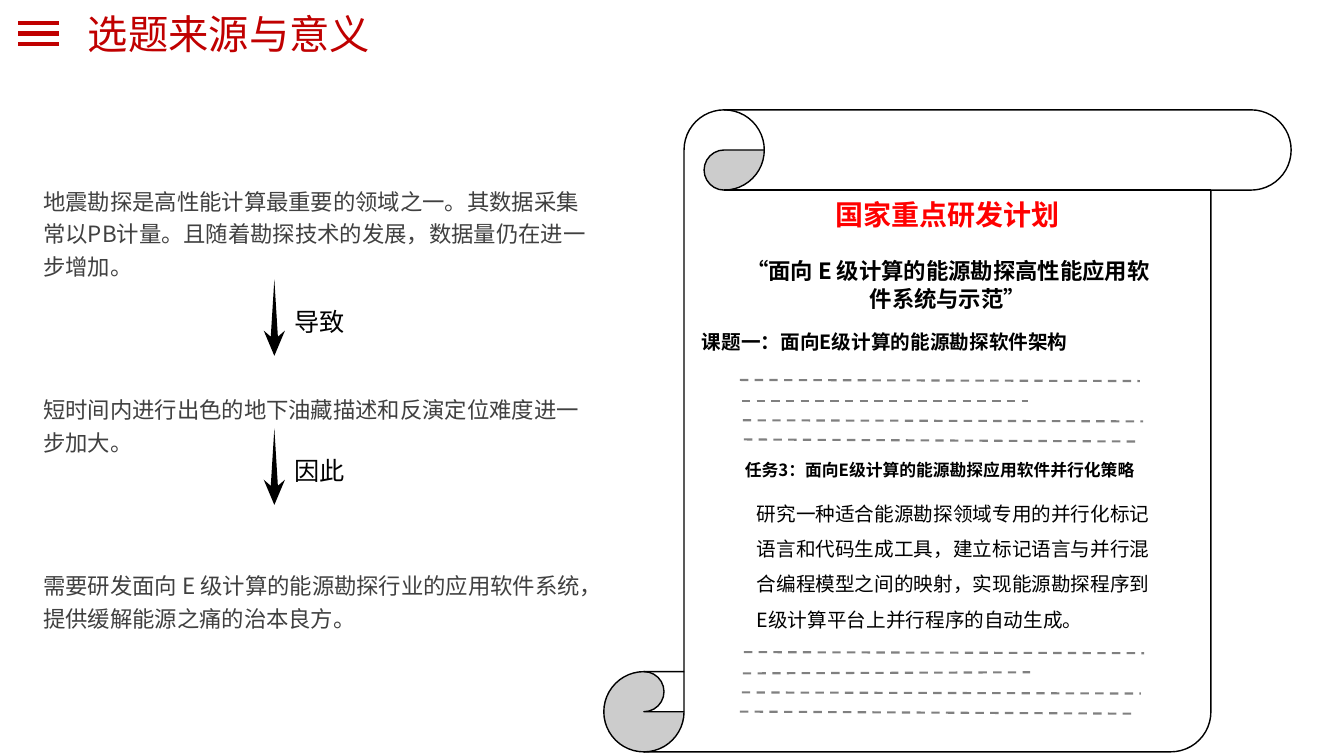
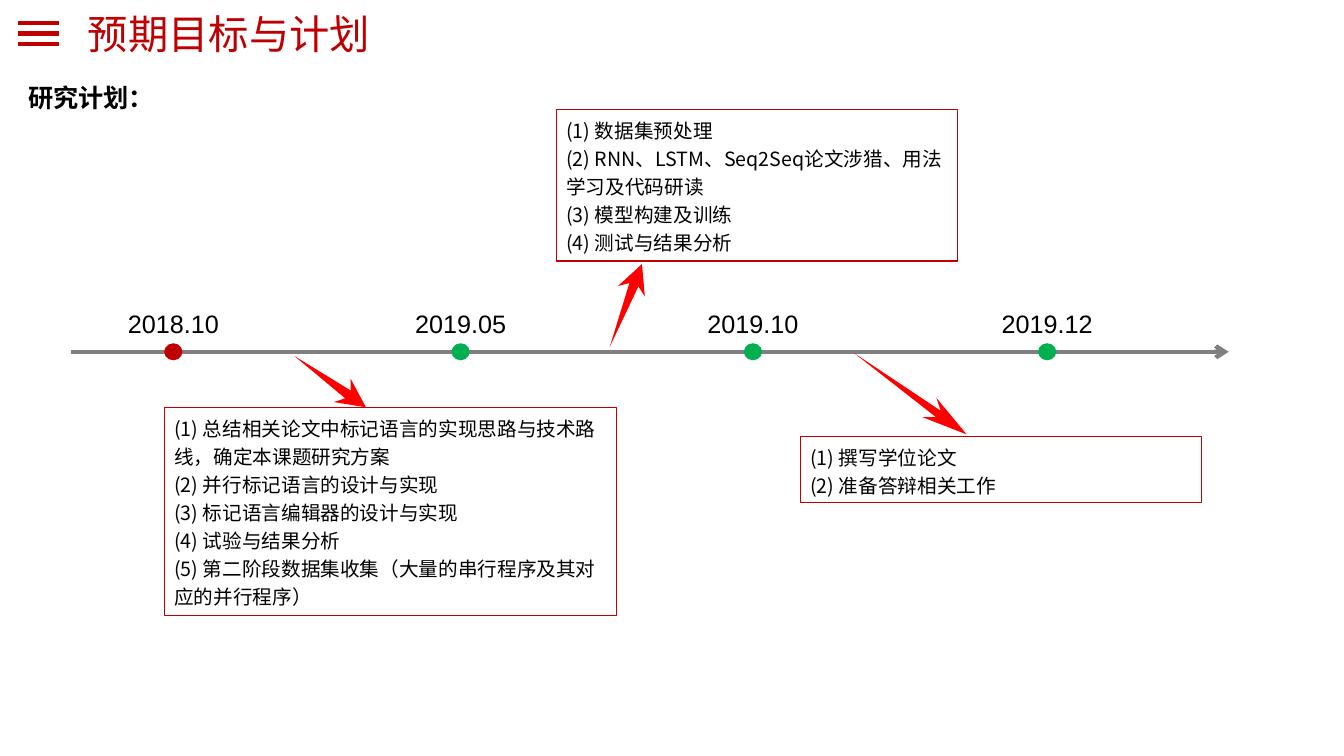
from math import hypot
from lxml.etree import SubElement
from pptx import Presentation
from pptx.dml.color import RGBColor
from pptx.enum.dml import MSO_LINE
from pptx.enum.shapes import MSO_CONNECTOR, MSO_SHAPE
from pptx.enum.text import MSO_ANCHOR, PP_ALIGN
from pptx.oxml.ns import qn
from pptx.util import Pt

COLORS = {"crimson": "C00000", "red": "FF0000", "green": "00B050", "gray": "808080",
          "body": "404040", "black": "000000", "white": "FFFFFF"}
LATIN, CHINESE = "Arial", "Noto Sans CJK SC"

TITLES = ["选题来源与意义", "预期目标与计划"]
MENU_LINES = [16.5, 24, 31.5]

REASONS = [
    "地震勘探是高性能计算最重要的领域之一。其数据采集常以PB计量。且随着勘探技术的发展，数据量仍在进一步增加。",
    "短时间内进行出色的地下油藏描述和反演定位难度进一步加大。",
    "需要研发面向 E 级计算的能源勘探行业的应用软件系统，提供缓解能源之痛的治本良方。",
]
REASON_STEPS = [("导致", 199.5), ("因此", 306)]
PROGRAM = "国家重点研发计划"
PROJECT = "“面向 E 级计算的能源勘探高性能应用软件系统与示范”"
TOPIC = "课题一：面向E级计算的能源勘探软件架构"
TASK = "任务3：面向E级计算的能源勘探应用软件并行化策略"
TASK_DETAIL = ("研究一种适合能源勘探领域专用的并行化标记语言和代码生成工具，"
               "建立标记语言与并行混合编程模型之间的映射，"
               "实现能源勘探程序到E级计算平台上并行程序的自动生成。")
OMITTED_LINES = [
    (528.5, 271.4, 814.3, 272.2), (529.9, 286.6, 734.4, 286.6),
    (530.6, 300.2, 816.5, 301), (531.4, 313.9, 814.3, 315.4),
    (531.4, 465.8, 817.2, 466.6), (530.6, 481, 735.8, 480.2),
    (529.9, 494.6, 815, 495.4), (528.5, 508.3, 811.4, 509.8),
]

PLAN_HEADING = "研究计划："
AXIS_Y = 251.3
MILESTONES = [("2018.10", 123.8, "crimson"), ("2019.05", 329, "green"),
              ("2019.10", 537.8, "green"), ("2019.12", 748, "green")]
PHASES = [
    {"box": (117.4, 291.3, 323.3, 148.3), "arrow": ((210.2, 254.2), (261.4, 290.9), 10.3),
     "tasks": ["(1) 总结相关论文中标记语言的实现思路与技术路线，确定本课题研究方案",
               "(2) 并行标记语言的设计与实现",
               "(3) 标记语言编辑器的设计与实现",
               "(4) 试验与结果分析",
               "(5) 第二阶段数据集收集（大量的串行程序及其对应的并行程序）"]},
    {"box": (397.4, 78.5, 286.6, 108), "arrow": ((435.6, 247.7), (458.6, 188.6), 10.3),
     "tasks": ["(1) 数据集预处理",
               "(2) RNN、LSTM、Seq2Seq论文涉猎、用法学习及代码研读",
               "(3) 模型构建及训练",
               "(4) 测试与结果分析"]},
    {"box": (571.7, 311.8, 286.6, 47.5), "arrow": ((609.8, 252), (690.5, 310.3), 8.5),
     "tasks": ["(1) 撰写学位论文", "(2) 准备答辩相关工作"]},
]


def rgb(name):
    return RGBColor.from_string(COLORS[name])


def points(values):
    return [Pt(value) for value in values]


def style_paragraph(paragraph, size, color="black", font=CHINESE, bold=False,
                    line=None, before=0, align=PP_ALIGN.LEFT):
    paragraph.alignment = align
    paragraph.space_before = Pt(before)
    if line:
        paragraph.line_spacing = line
    for run in paragraph.runs:
        run.font.size = Pt(size)
        run.font.bold = bold
        run.font.name = font
        run.font.color.rgb = rgb(color)
        SubElement(run.font._element, qn("a:ea"), typeface=CHINESE)


def fill_text(text_frame, lines, size, gap=0, **style):
    text_frame.word_wrap = True
    text_frame.vertical_anchor = MSO_ANCHOR.TOP
    text_frame.text = "\n".join(lines)
    for index, paragraph in enumerate(text_frame.paragraphs):
        style_paragraph(paragraph, size, before=gap if index else 0, **style)


def add_text(slide, box, lines, size, **style):
    text_frame = slide.shapes.add_textbox(*points(box)).text_frame
    fill_text(text_frame, lines, size, **style)
    return text_frame


def add_shape(slide, kind, box, fill=None, line=None, width=1):
    shape = slide.shapes.add_shape(kind, *points(box))
    paint_shape(shape, fill, line, width)
    return shape


def paint_shape(shape, fill=None, line=None, width=1):
    shape.shadow.inherit = False
    if fill:
        shape.fill.solid()
        shape.fill.fore_color.rgb = rgb(fill)
    else:
        shape.fill.background()
    if line:
        shape.line.color.rgb = rgb(line)
        shape.line.width = Pt(width)
    else:
        shape.line.fill.background()


def add_line(slide, ends, color, width, dashed=False, arrow=False):
    connector = slide.shapes.add_connector(MSO_CONNECTOR.STRAIGHT, *points(ends))
    connector.line.color.rgb = rgb(color)
    connector.line.width = Pt(width)
    if dashed:
        connector.line.dash_style = MSO_LINE.DASH
    if arrow:
        SubElement(connector.line._get_or_add_ln(), qn("a:tailEnd"), type="arrow")
    SubElement(connector._element.spPr, qn("a:effectLst"))


def add_tapered_arrow(slide, tail, head, half_width, color):
    across, down = head[0] - tail[0], head[1] - tail[1]
    length = hypot(across, down)

    def place(back, side):
        return (Pt(head[0] - across * back - down / length * side),
                Pt(head[1] - down * back + across / length * side))

    shaft = half_width / 3
    outline = [place(0.33, -half_width), place(0, 0), place(0.33, half_width),
               place(0.25, shaft), place(1, 0), place(0.25, -shaft)]
    builder = slide.shapes.build_freeform(*outline[0])
    builder.add_line_segments(outline[1:], close=True)
    paint_shape(builder.convert_to_shape(), color)


def add_titled_slide(presentation, title):
    slide = presentation.slides.add_slide(presentation.slide_layouts[6])
    text_frame = add_text(slide, (62.8, 3.6, 224.6, 33.1), [title], 28.8,
                          color="crimson", font=LATIN, line=1.2)
    text_frame.vertical_anchor = MSO_ANCHOR.MIDDLE
    text_frame.margin_left = text_frame.margin_right = 0
    text_frame.margin_top = text_frame.margin_bottom = 0
    for y in MENU_LINES:
        add_line(slide, (13, y, 42, y), "crimson", 3)
    return slide


def build_origin(slide):
    add_text(slide, (23.8, 127, 407, 346), REASONS, 16, color="body", line=Pt(23.1), gap=79.5)
    for label, top in REASON_STEPS:
        add_tapered_arrow(slide, (196, top), (196, top + 54.7), 7.6, "black")
        add_text(slide, (203.3, top + 15.8, 50.4, 28.8), [label], 18, font=LATIN)

    add_shape(slide, MSO_SHAPE.VERTICAL_SCROLL, (431.3, 78.5, 491, 458.6), "white", "black")
    heading = add_text(slide, (523.4, 137.5, 307.4, 89.3), [PROGRAM, PROJECT], 16, bold=True,
                       line=Pt(19.5), gap=18.5, align=PP_ALIGN.CENTER)
    program = heading.paragraphs[0]
    program.line_spacing = Pt(24)
    program.runs[0].font.size = Pt(20)
    program.runs[0].font.color.rgb = rgb("red")
    add_text(slide, (494.3, 231.8, 301, 24.5), [TOPIC], 14, bold=True, line=Pt(17))
    add_text(slide, (524.9, 324.7, 295.9, 21.6), [TASK], 12, bold=True, line=Pt(14.6))
    add_text(slide, (533.5, 346.5, 299.5, 108.7), [TASK_DETAIL], 14, line=Pt(25.2))
    for ends in OMITTED_LINES:
        add_line(slide, ends, "gray", 1.5, dashed=True)


def build_plan(slide):
    add_text(slide, (13, 55.4, 120, 28.8), [PLAN_HEADING], 18, font=LATIN, bold=True)
    add_line(slide, (50.4, AXIS_Y, 877.7, AXIS_Y), "gray", 3, arrow=True)
    for date, x, color in MILESTONES:
        add_shape(slide, MSO_SHAPE.OVAL, (x - 6.5, AXIS_Y - 6.1, 13, 12.2), color)
        add_text(slide, (x - 50, 216.4, 100, 28.8), [date], 18, font=LATIN,
                 align=PP_ALIGN.CENTER)
    for phase in PHASES:
        box = add_shape(slide, MSO_SHAPE.RECTANGLE, phase["box"], line="crimson", width=0.75)
        fill_text(box.text_frame, phase["tasks"], 14, line=Pt(20))
        add_tapered_arrow(slide, *phase["arrow"], "red")


presentation = Presentation()
presentation.slide_width, presentation.slide_height = Pt(960), Pt(540)
for title, build in zip(TITLES, [build_origin, build_plan]):
    build(add_titled_slide(presentation, title))
presentation.save("out.pptx")
